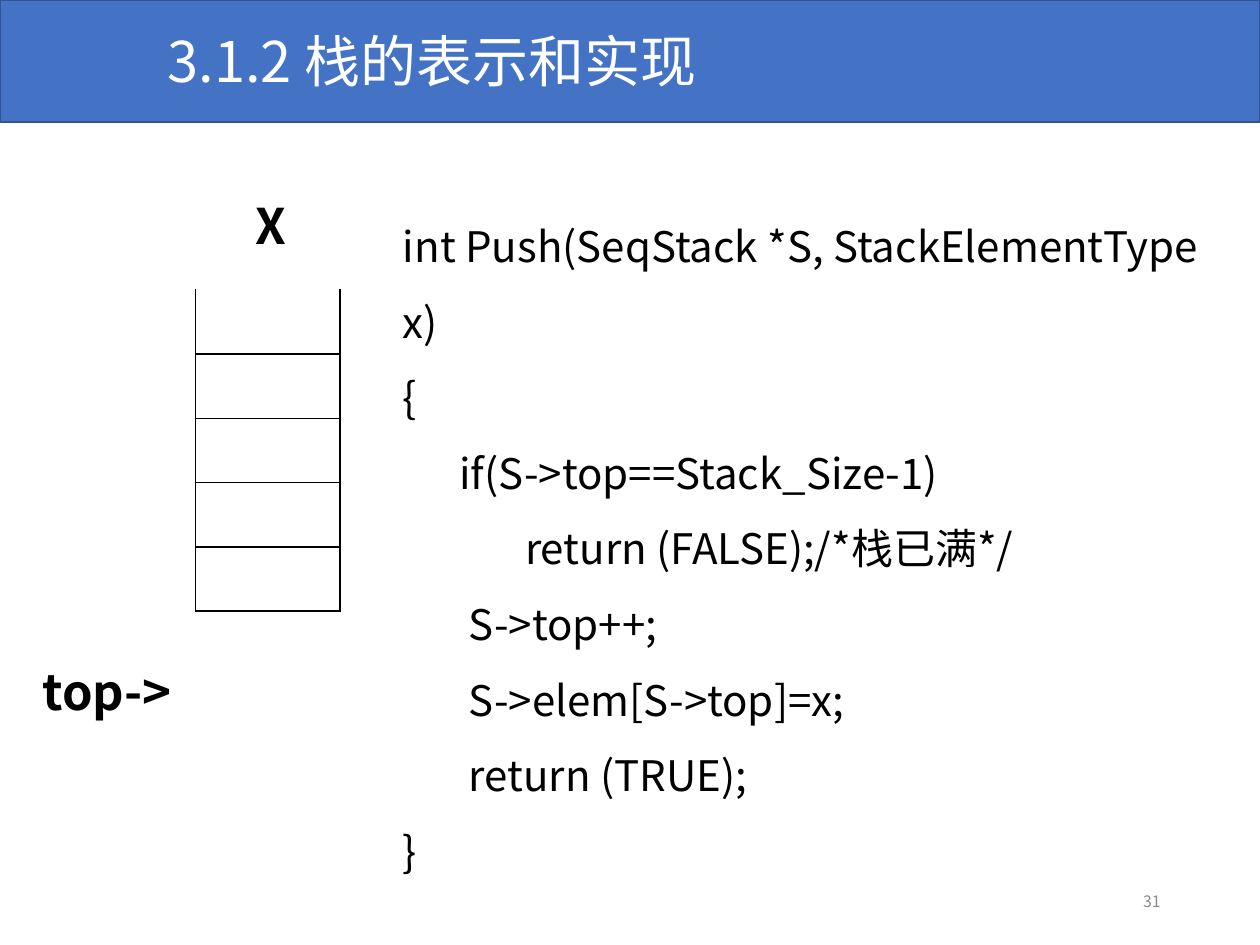
from dataclasses import dataclass, field

from lxml import etree
from pptx import Presentation
from pptx.dml.color import RGBColor
from pptx.enum.shapes import MSO_SHAPE
from pptx.enum.text import MSO_ANCHOR, MSO_AUTO_SIZE, PP_ALIGN
from pptx.oxml.ns import qn
from pptx.slide import Slide
from pptx.util import Inches, Pt

RECTANGLE = MSO_SHAPE.RECTANGLE
TOP, MIDDLE = MSO_ANCHOR.TOP, MSO_ANCHOR.MIDDLE
LEFT, RIGHT = PP_ALIGN.LEFT, PP_ALIGN.RIGHT
GROW, FIXED = MSO_AUTO_SIZE.SHAPE_TO_FIT_TEXT, MSO_AUTO_SIZE.NONE
TITLE_ONLY = 5
COLUMNS, ROWS = 100, 75
STACK_CELLS = 5
PUSH_CODE = """int Push(SeqStack *S, StackElementType x)
{
      if(S->top==Stack_Size-1)
             return (FALSE);/*栈已满*/
       S->top++;
       S->elem[S->top]=x;
       return (TRUE);
}"""


def rgb(value):
    return RGBColor.from_string(value)


def apply(target, values):
    for name, value in values.items():
        setattr(target, name, value)


@dataclass
class StackSlide:
    """Draws styled elements on one slide, placed by grid columns and rows."""

    slide: Slide
    width: int
    height: int
    font: str = "Noto Sans CJK SC"
    colors: dict = field(default_factory=lambda: {
        "banner": "4472C4", "edge": "325491", "ink": "000000",
        "paper": "FFFFFF", "muted": "8C8C8C"})

    def box(self, column, row, columns, rows):
        across, down = self.width / COLUMNS, self.height / ROWS
        return [int(n) for n in (column * across, row * down, columns * across, rows * down)]

    def banner(self, *place):
        banner = self.slide.shapes.add_shape(RECTANGLE, *self.box(*place))
        banner.shadow.inherit = False
        banner.fill.solid()
        banner.fill.fore_color.rgb = rgb(self.colors["banner"])
        banner.line.color.rgb = rgb(self.colors["edge"])
        banner.line.width = Pt(1)
        self.slide.shapes._spTree.insert(2, banner._element)

    def set_text(self, holder, text, size, color="ink", bold=False, wrap=True,
                 anchor=TOP, align=LEFT, spacing=1.0, fit=GROW):
        frame = holder.text_frame
        frame.text = text
        apply(frame, {"word_wrap": wrap, "auto_size": fit, "vertical_anchor": anchor})
        for paragraph in frame.paragraphs:
            apply(paragraph, {"alignment": align, "line_spacing": spacing})
            for run in paragraph.runs:
                apply(run.font, {"name": self.font, "size": Pt(size), "bold": bold})
                run.font.color.rgb = rgb(self.colors[color])
                east_asian = etree.Element(qn("a:ea"), typeface=self.font)
                run.font._element.find(qn("a:latin")).addnext(east_asian)

    def title(self, text, place, **style):
        heading = self.slide.shapes.title
        apply(heading, dict(zip(("left", "top", "width", "height"), self.box(*place))))
        self.set_text(heading, text, **style)

    def text(self, text, place, **style):
        self.set_text(self.slide.shapes.add_textbox(*self.box(*place)), text, **style)

    def border(self, cell, sides):
        properties = cell._tc.get_or_add_tcPr()
        for index, side in enumerate(sides):
            line = etree.Element(qn(f"a:ln{side}"), w=str(Pt(1)))
            fill = etree.SubElement(line, qn("a:solidFill"))
            etree.SubElement(fill, qn("a:srgbClr"), val=self.colors["ink"])
            properties.insert(index, line)

    def open_stack(self, cells, *place):
        stack = self.slide.shapes.add_table(cells, 1, *self.box(*place)).table
        apply(stack, {"first_row": False, "horz_banding": False})
        for level, cell in enumerate(stack.iter_cells()):
            if level == cells - 1:
                cell.fill.solid()
                cell.fill.fore_color.rgb = rgb(self.colors["paper"])
            else:
                cell.fill.background()
            self.border(cell, "LRTB" if level else "LRB")


def main():
    deck = Presentation()
    apply(deck, {"slide_width": Inches(10), "slide_height": Inches(7.5)})
    slide = deck.slides.add_slide(deck.slide_layouts[TITLE_ONLY])
    page = StackSlide(slide, deck.slide_width, deck.slide_height)
    label = {"size": 28, "bold": True, "wrap": False}

    page.banner(0, 0, COLUMNS, 9.7)
    page.title("3.1.2 栈的表示和实现", (12.3, 1.6, 68, 6.4), size=32, color="paper")
    page.text("31", (70.6, 69.5, 22.5, 4), size=9, color="muted",
              anchor=MIDDLE, align=RIGHT, fit=FIXED)
    page.open_stack(STACK_CELLS, 15.5, 23, 11.5, 25.5)
    page.text("X", (19.3, 15, 4.5, 5.7), **label)
    page.text("top->", (2.4, 52, 12.9, 5.7), **label)
    page.text(PUSH_CODE, (31, 15, 68.3, 48.8), size=24, spacing=1.5)
    deck.save("out.pptx")


if __name__ == "__main__":
    main()
